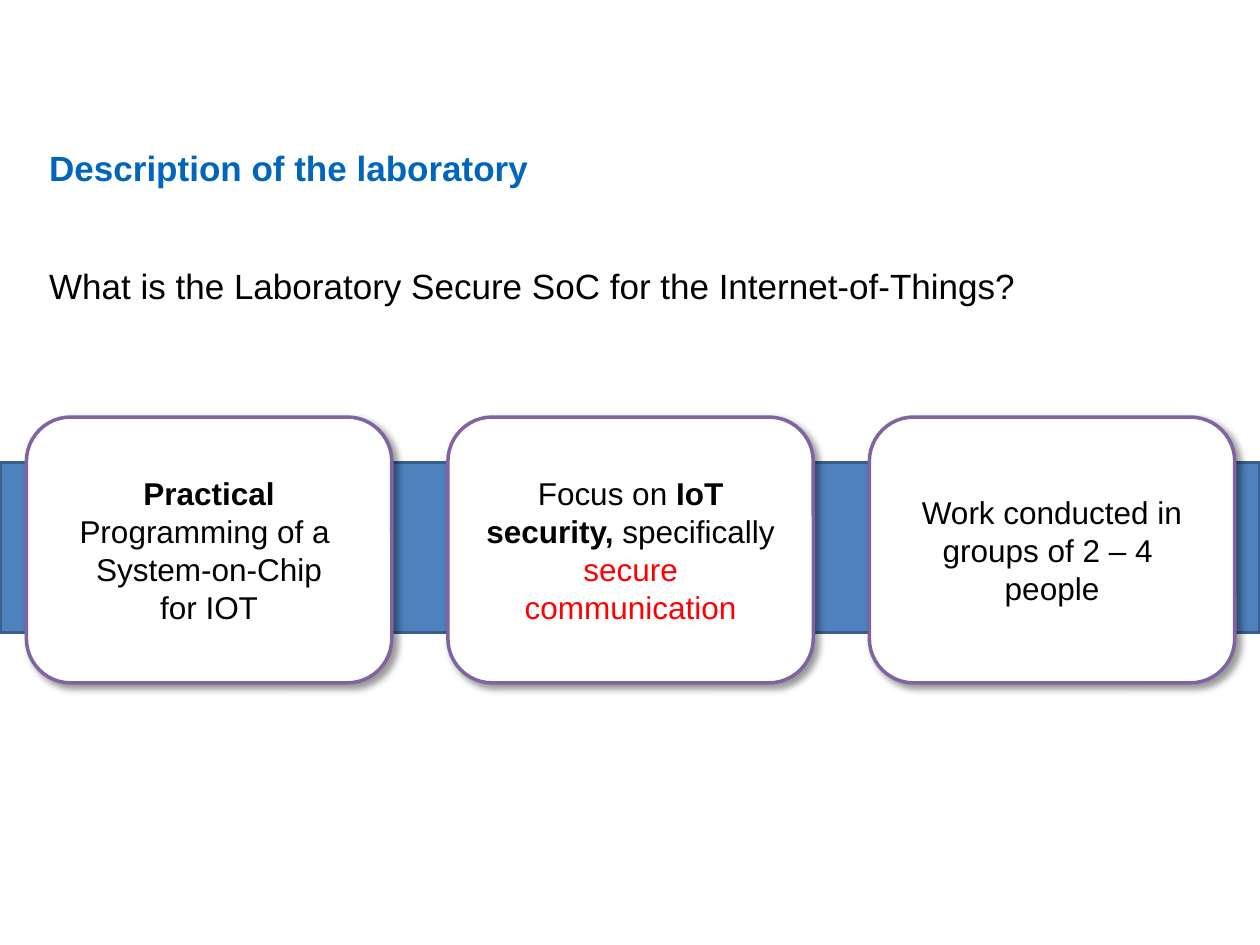
from lxml import etree
from pptx import Presentation
from pptx.dml.color import RGBColor
from pptx.enum.shapes import MSO_SHAPE
from pptx.enum.text import MSO_ANCHOR, PP_ALIGN
from pptx.oxml.ns import qn
from pptx.util import Inches, Pt

RECTANGLE = MSO_SHAPE.RECTANGLE
ROUNDED = MSO_SHAPE.ROUNDED_RECTANGLE
MIDDLE = MSO_ANCHOR.MIDDLE
CENTER = PP_ALIGN.CENTER

BLACK, WHITE, RED = "000000", "FFFFFF", "FF0000"
TITLE_BLUE = "0065BD"
BAND_FILL, BAND_LINE = "4F81BD", "3A5F8C"
CARD_LINE = "8064A2"

CARD_LEFT, CARD_STEP = 0.21, 3.345
BOLD = {"bold": True}
# Each card is a list of paragraphs, each paragraph a list of (text, format) runs.
CARDS = [
    [
        [("Practical", BOLD)],
        [("Programming of a ", {})],
        [("System-on-Chip", {})],
        [("for IOT", {})],
    ],
    [
        [
            ("Focus on ", {}),
            ("IoT security, ", BOLD),
            ("specifically ", {}),
            ("secure communication", {"color": RED}),
        ],
    ],
    [
        [("Work conducted in groups of 2 – 4 ", {})],
        [("people", {})],
    ],
]


def rgb(color):
    return RGBColor.from_string(color)


def add_run(paragraph, text, size, color=BLACK, bold=False):
    run = paragraph.add_run()
    run.text = text
    values = {"name": "Arial", "size": Pt(size), "bold": bold}
    for name, value in values.items():
        setattr(run.font, name, value)
    run.font.color.rgb = rgb(color)


def add_heading(slide, box, text, **font):
    frame = slide.shapes.add_textbox(*map(Inches, box)).text_frame
    frame.word_wrap = True
    for side in ("left", "top", "right", "bottom"):
        setattr(frame, f"margin_{side}", 0)
    paragraph = frame.paragraphs[0]
    paragraph.line_spacing = 1.25
    add_run(paragraph, text, 20, **font)


def add_box(slide, kind, box, fill, line):
    shape = slide.shapes.add_shape(kind, *map(Inches, box))
    shape.shadow.inherit = False
    shape.fill.solid()
    shape.fill.fore_color.rgb = rgb(fill)
    shape.line.color.rgb = rgb(line)
    shape.line.width = Pt(2)
    return shape


def add_shadow(shape):
    """Give the shape a soft shadow towards the lower right."""
    effects = shape._element.spPr.find(qn("a:effectLst"))
    shadow = etree.SubElement(
        effects, qn("a:outerShdw"), blurRad=str(Pt(4)), dist=str(Pt(3)),
        dir=str(45 * 60000), algn="tl", rotWithShape="0")
    color = etree.SubElement(shadow, qn("a:srgbClr"), val=BLACK)
    etree.SubElement(color, qn("a:alpha"), val="40000")


def add_card(slide, left, paragraphs):
    card = add_box(slide, ROUNDED, (left, 3.31, 2.9, 2.11), WHITE, CARD_LINE)
    add_shadow(card)
    frame = card.text_frame
    frame.word_wrap = True
    frame.vertical_anchor = MIDDLE
    for index, runs in enumerate(paragraphs):
        paragraph = frame.add_paragraph() if index else frame.paragraphs[0]
        paragraph.alignment = CENTER
        for text, font in runs:
            add_run(paragraph, text, 18, **font)


def main():
    presentation = Presentation()
    presentation.slide_width = Inches(10)
    presentation.slide_height = Inches(7.5)
    slide = presentation.slides.add_slide(presentation.slide_layouts[6])

    add_box(slide, RECTANGLE, (0, 3.67, 10, 1.35), BAND_FILL, BAND_LINE)
    add_heading(slide, (0.39, 2.02, 9.21, 4.83),
                "What is the Laboratory Secure SoC for the Internet-of-Things?")
    for index, paragraphs in enumerate(CARDS):
        add_card(slide, CARD_LEFT + index * CARD_STEP, paragraphs)
    add_heading(slide, (0.39, 1.08, 8.12, 0.39),
                "Description of the laboratory", color=TITLE_BLUE, bold=True)

    presentation.save("out.pptx")


if __name__ == "__main__":
    main()
